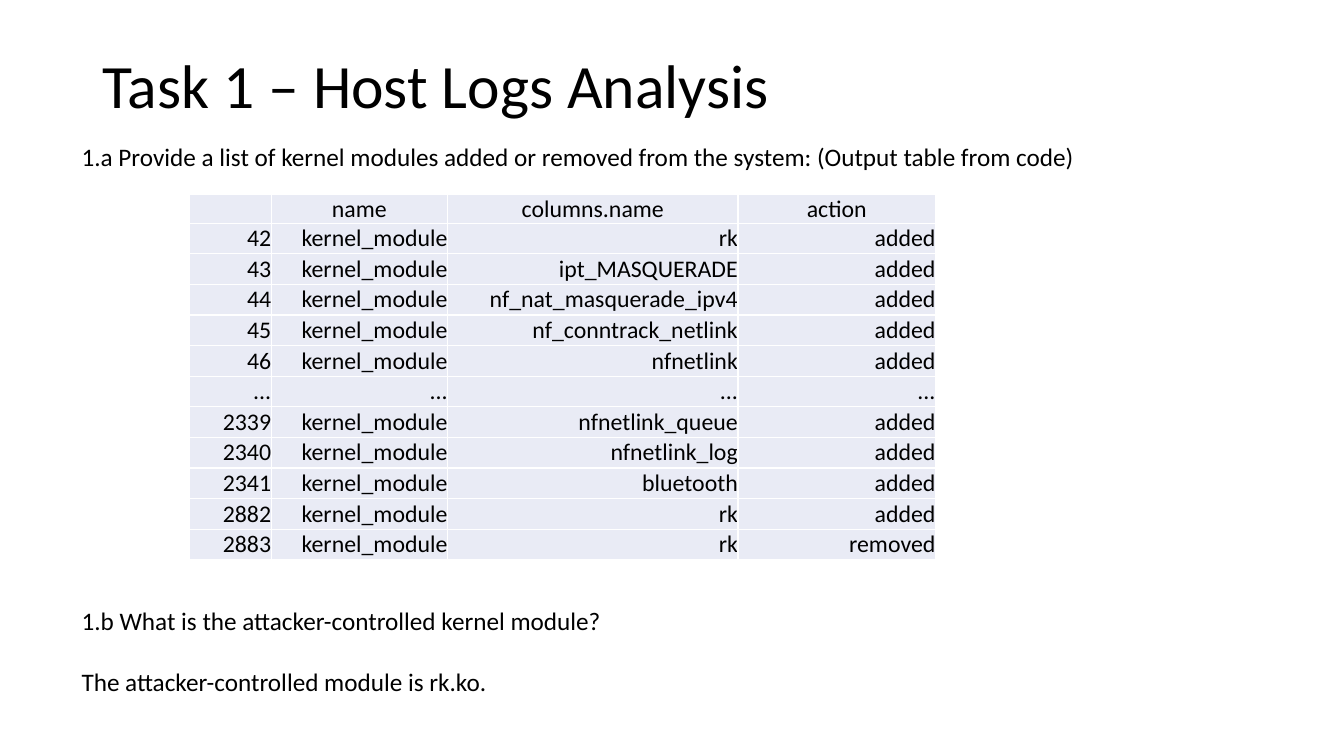
from dataclasses import dataclass

from lxml.etree import SubElement
from pptx import Presentation
from pptx.dml.color import RGBColor as RGB
from pptx.enum.text import MSO_ANCHOR as Anchor, PP_ALIGN as Align
from pptx.oxml.ns import qn
from pptx.util import Inches, Pt

WIDTH, HEIGHT = Inches(13.33), Inches(7.5)


@dataclass(frozen=True)
class Theme:
    font: str = "Calibri"
    text: RGB = RGB(0, 0, 0)
    cell: RGB = RGB(0xE9, 0xEB, 0xF5)
    border: str = "FFFFFF"
    title_size: int = 44
    body_size: int = 18
    table_size: int = 17
    paragraph_gap: int = 22
    border_width: int = 1


THEME = Theme()

HEADER = ("", "name", "columns.name", "action")
MODULE_EVENTS = (
    ("42", "rk", "added"),
    ("43", "ipt_MASQUERADE", "added"),
    ("44", "nf_nat_masquerade_ipv4", "added"),
    ("45", "nf_conntrack_netlink", "added"),
    ("46", "nfnetlink", "added"),
    ("...", "...", "..."),
    ("2339", "nfnetlink_queue", "added"),
    ("2340", "nfnetlink_log", "added"),
    ("2341", "bluetooth", "added"),
    ("2882", "rk", "added"),
    ("2883", "rk", "removed"),
)
COLUMN_SHARES = (6.08, 13.13, 21.6, 14.7)
HEADER_SHARE, ROW_SHARE = 3.8, 4.05


def across(percent):
    return round(WIDTH * percent / 100)


def down(percent):
    return round(HEIGHT * percent / 100)


def box(left, top, width, height):
    """Turn percentages of the slide into a position and a size."""
    return across(left), down(top), across(width), down(height)


def style_runs(p, size):
    for r in p.runs:
        r.font.name = THEME.font
        r.font.size = Pt(size)
        r.font.color.rgb = THEME.text


def add_text(slide, place, lines, size, anchor=Anchor.TOP, line_spacing=1.0):
    tf = slide.shapes.add_textbox(*box(*place)).text_frame
    tf.word_wrap = True
    tf.vertical_anchor = anchor
    tf.text = "\n".join(lines)
    for i, p in enumerate(tf.paragraphs):
        p.line_spacing = line_spacing
        p.space_before = Pt(THEME.paragraph_gap if i else 0)
        style_runs(p, size)


def add_borders(cell):
    tc_pr = cell._tc.get_or_add_tcPr()
    for side in ("lnL", "lnR", "lnT", "lnB"):
        line = SubElement(tc_pr, qn(f"a:{side}"), w=str(Pt(THEME.border_width)))
        fill = SubElement(line, qn("a:solidFill"))
        SubElement(fill, qn("a:srgbClr"), val=THEME.border)


def fill_cell(cell, text, align):
    cell.margin_left = cell.margin_right = 0
    cell.margin_top = cell.margin_bottom = 0
    cell.vertical_anchor = Anchor.MIDDLE
    add_borders(cell)
    cell.fill.solid()
    cell.fill.fore_color.rgb = THEME.cell
    p = cell.text_frame.paragraphs[0]
    p.text = text
    p.alignment = align
    style_runs(p, THEME.table_size)
    if not text:
        SubElement(p._p, qn("a:endParaRPr"), sz=str(THEME.table_size * 100))


def add_module_table(slide, left, top):
    rows = [HEADER]
    for index, module, action in MODULE_EVENTS:
        kind = "..." if index == "..." else "kernel_module"
        rows.append((index, kind, module, action))
    height = HEADER_SHARE + ROW_SHARE * len(MODULE_EVENTS)
    place = box(left, top, sum(COLUMN_SHARES), height)
    table = slide.shapes.add_table(len(rows), len(HEADER), *place).table
    table.first_row = table.horz_banding = False
    for column, share in zip(table.columns, COLUMN_SHARES):
        column.width = across(share)
    for i, values in enumerate(rows):
        table.rows[i].height = down(ROW_SHARE if i else HEADER_SHARE)
        for j, text in enumerate(values):
            fill_cell(table.cell(i, j), text, Align.RIGHT if i else Align.CENTER)


def main():
    prs = Presentation()
    prs.slide_width, prs.slide_height = WIDTH, HEIGHT
    slide = prs.slides.add_slide(prs.slide_layouts[6])
    add_text(slide, (6.9, 5.33, 86.25, 12.67), ["Task 1 – Host Logs Analysis"],
             THEME.title_size, Anchor.MIDDLE, 0.9)
    add_text(slide, (5.33, 18, 84.55, 13.47),
             ["1.a Provide a list of kernel modules added or removed "
              "from the system: (Output table from code)"],
             THEME.body_size)
    add_text(slide, (5.33, 79.47, 73.07, 13.47),
             ["1.b What is the attacker-controlled kernel module?",
              "The attacker-controlled module is rk.ko."],
             THEME.body_size)
    add_module_table(slide, 14.1, 25.73)
    prs.save("out.pptx")


if __name__ == "__main__":
    main()
